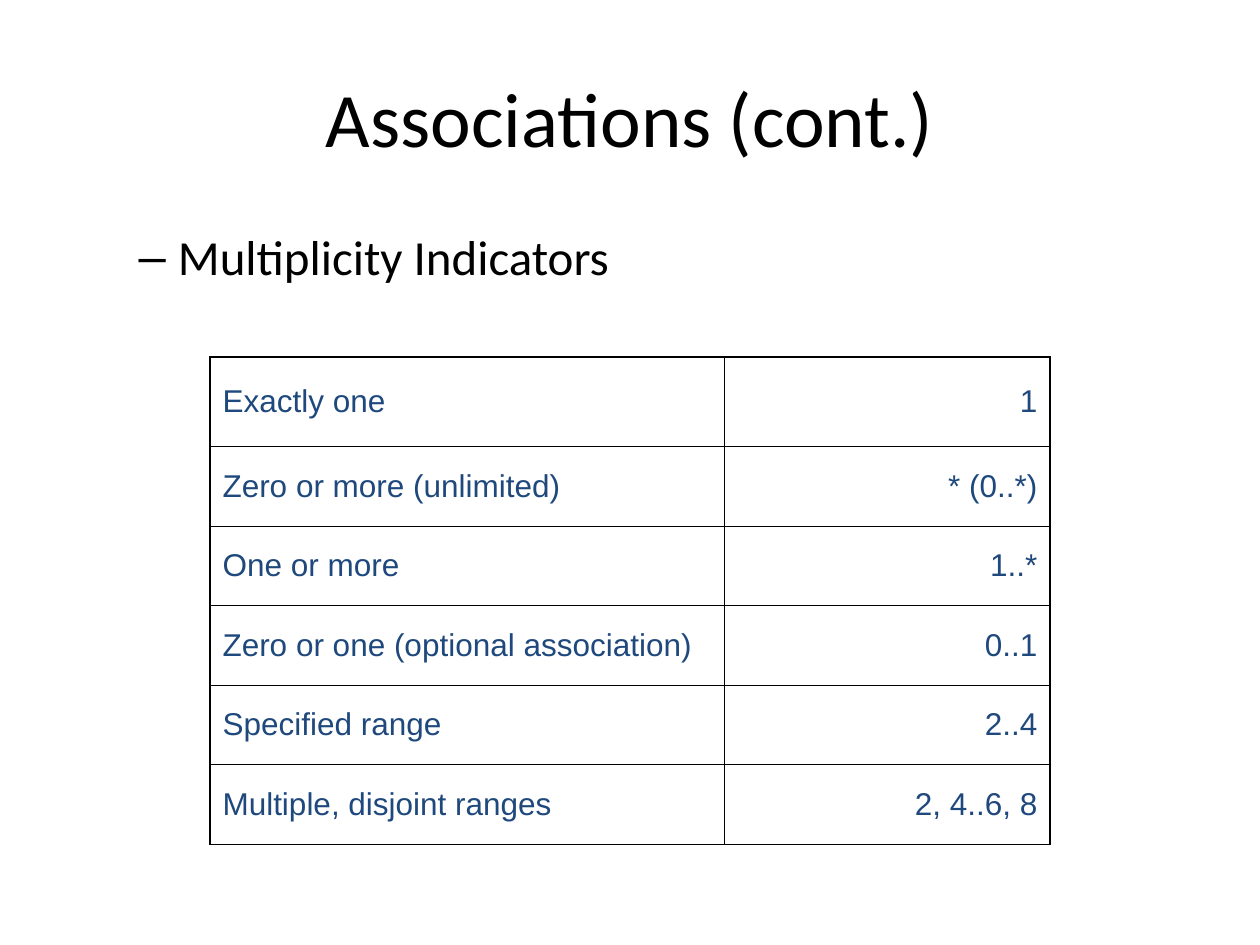
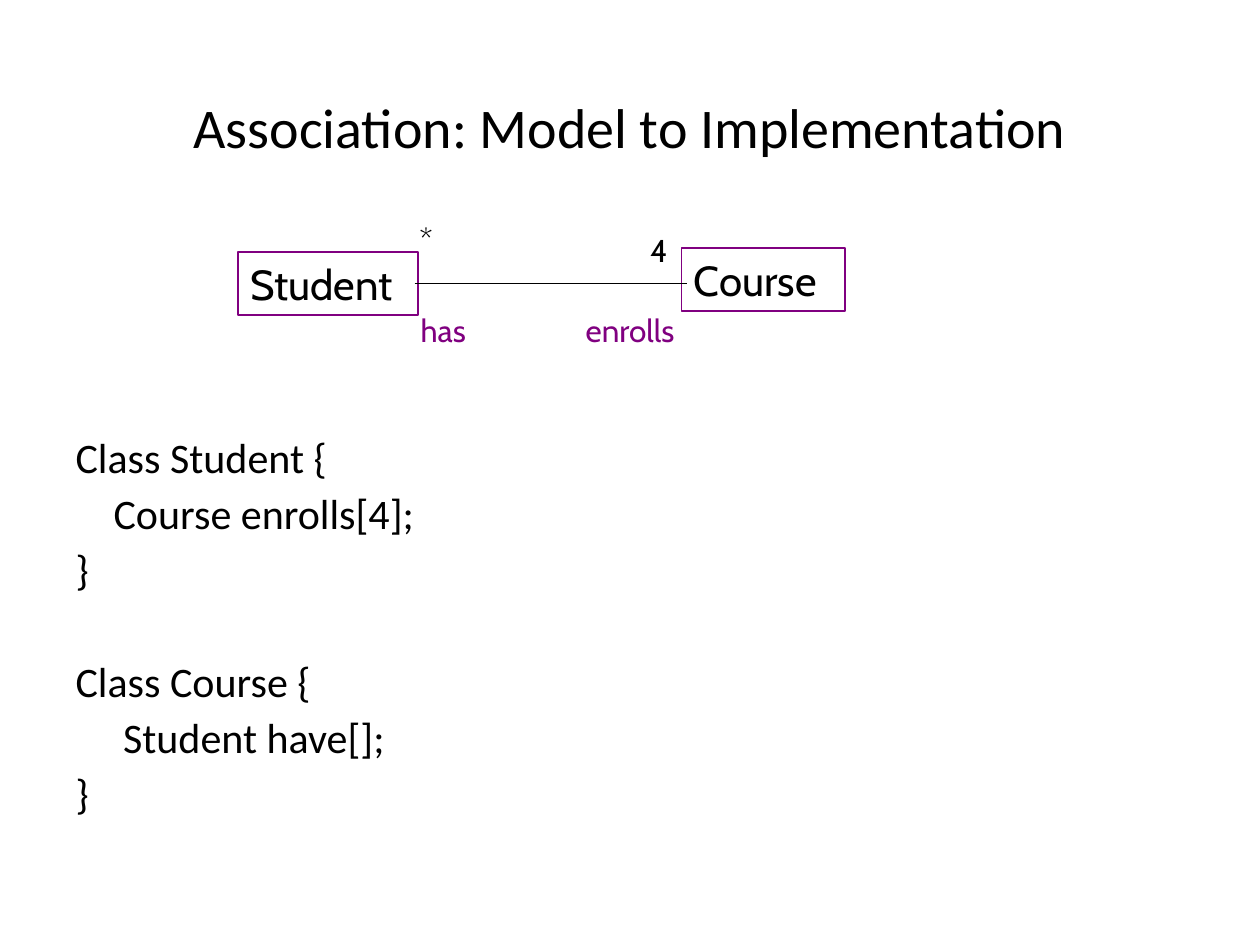
from lxml import etree
from pptx import Presentation
from pptx import util as u
from pptx.dml.color import RGBColor
from pptx.enum import shapes, text
from pptx.oxml import ns

Pt = u.Pt
BLACK = RGBColor(0, 0, 0)
NAVY = RGBColor(0x1F, 0x49, 0x7D)
PURPLE = RGBColor(0x80, 0, 0x80)
HEAD, CELL, LABEL = "Calibri", "Arial", "Cabin"
THICK, THIN = 1.08, 0.45

RANGES = [
    ("Exactly one", "1"),
    ("Zero or more (unlimited)", "* (0..*)"),
    ("One or more", "1..*"),
    ("Zero or one (optional association)", "0..1"),
    ("Specified range", "2..4"),
    ("Multiple, disjoint ranges", "2, 4..6, 8"),
]
CODE = [
    ["Class Student {", "    Course enrolls[4];", "}"],
    ["Class Course {", "     Student have[];", "}"],
]


def style(para, name, size, color=BLACK):
    font = para.font
    font.name, font.size = name, Pt(size)
    font.color.rgb = color


def place(shape, box):
    shape.left, shape.top, shape.width, shape.height = map(Pt, box)


def start(deck, title, box, size):
    slide = deck.slides.add_slide(deck.slide_layouts[1])
    head = slide.shapes.title
    place(head, box)
    head.text_frame.text = title
    style(head.text_frame.paragraphs[0], HEAD, size)
    return slide


def bullet(slide, box, words):
    body = slide.placeholders[1]
    place(body, box)
    body.text_frame.text = words
    para = body.text_frame.paragraphs[0]
    para.level = 1
    para.space_before = Pt(0)
    props = para._p.get_or_add_pPr()
    etree.SubElement(props, ns.qn("a:buChar"), char="–")
    style(para, HEAD, 28)


def edge(cell, sides):
    props = cell._tc.get_or_add_tcPr()
    for spot, (side, width) in enumerate(sides.items()):
        line = etree.Element(ns.qn("a:ln" + side), w=str(Pt(width)))
        fill = etree.SubElement(line, ns.qn("a:solidFill"))
        etree.SubElement(fill, ns.qn("a:srgbClr"), val=str(BLACK))
        props.insert(spot, line)


def grid(slide, box, rows):
    left, top, width, height = box
    first, last = 51, len(rows) - 1
    table = slide.shapes.add_table(len(rows), 2, *map(Pt, box)).table
    table.first_row = table.horz_banding = False
    table.columns[0].width = Pt(294)
    table.columns[1].width = Pt(width - 294)
    aligns = text.PP_ALIGN.LEFT, text.PP_ALIGN.RIGHT
    for r, row in enumerate(rows):
        table.rows[r].height = Pt(first if r == 0 else (height - first) / last)
        for c, words in enumerate(row):
            cell = table.cell(r, c)
            cell.text = words
            cell.vertical_anchor = text.MSO_ANCHOR.MIDDLE
            cell.fill.background()
            para = cell.text_frame.paragraphs[0]
            para.alignment = aligns[c]
            style(para, CELL, 18, NAVY)
            edge(cell, {
                "L": THICK if c == 0 else THIN,
                "R": THICK if c == 1 else THIN,
                "T": THICK if r == 0 else THIN,
                "B": THICK if r == last else THIN,
            })


def write(shape, words, size, color):
    frame = shape.text_frame
    frame.word_wrap = True
    frame.vertical_anchor = text.MSO_ANCHOR.TOP
    frame.text = words
    para = frame.paragraphs[0]
    para.alignment = text.PP_ALIGN.LEFT
    style(para, LABEL, size, color)


def entity(slide, box, name):
    rect = slide.shapes.add_shape(shapes.MSO_SHAPE.RECTANGLE, *map(Pt, box))
    rect.shadow.inherit = False
    rect.fill.background()
    rect.line.color.rgb = PURPLE
    rect.line.width = Pt(1)
    write(rect, name, 24, BLACK)


def diagram(slide, left, top):
    for x, y, wide, name in [(13.7, 21.6, 103, "Student"),
                             (267.1, 19.3, 93.6, "Course")]:
        entity(slide, (left + x, top + y, wide, 36), name)
    y = top + 39.6
    link = slide.shapes.add_connector(
        shapes.MSO_CONNECTOR.STRAIGHT,
        Pt(left + 114.5), Pt(y), Pt(left + 270), Pt(y))
    link.line.color.rgb = BLACK
    link.line.width = Pt(0.75)
    etree.SubElement(link._element.spPr, ns.qn("a:effectLst"))
    for x, y, wide, words, color in [
            (205.2, 51.8, 72, "enrolls", PURPLE),
            (110.9, 51.8, 44, "has", PURPLE),
            (110.2, 0, 24.5, "*", BLACK),
            (242, 5.8, 24.5, "4", BLACK)]:
        area = left + x, top + y, wide, 29
        label = slide.shapes.add_textbox(*map(Pt, area))
        write(label, words, 18, color)


def listing(slide, box, blocks):
    body = slide.placeholders[1]
    place(body, box)
    frame = body.text_frame
    frame.text = "\n".join(line for block in blocks for line in block)
    heads = {len(blocks[0])}
    for n, para in enumerate(frame.paragraphs):
        props = para._p.get_or_add_pPr()
        props.set("marL", str(Pt(27)))
        props.set("indent", str(Pt(-27)))
        para.line_spacing = 0.9
        para.space_before = Pt(0 if n == 0 else 38.4 if n in heads else 6)
        etree.SubElement(props, ns.qn("a:buNone"))
        style(para, HEAD, 24)


def main():
    deck = Presentation()
    deck.slide_width, deck.slide_height = Pt(720), Pt(540)

    slide = start(deck, "Associations (cont.)", (36, 21.6, 648, 90), 44)
    bullet(slide, (36, 126, 648, 356.4), "Multiplicity Indicators")
    grid(slide, (120, 204, 480, 278.5), RANGES)

    slide = start(deck, "Association: Model to Implementation",
                  (36, 30.2, 648, 84.2), 32)
    listing(slide, (36, 246.2, 642, 234), CODE)
    diagram(slide, 122.4, 122.4)

    deck.save("out.pptx")


if __name__ == "__main__":
    main()
